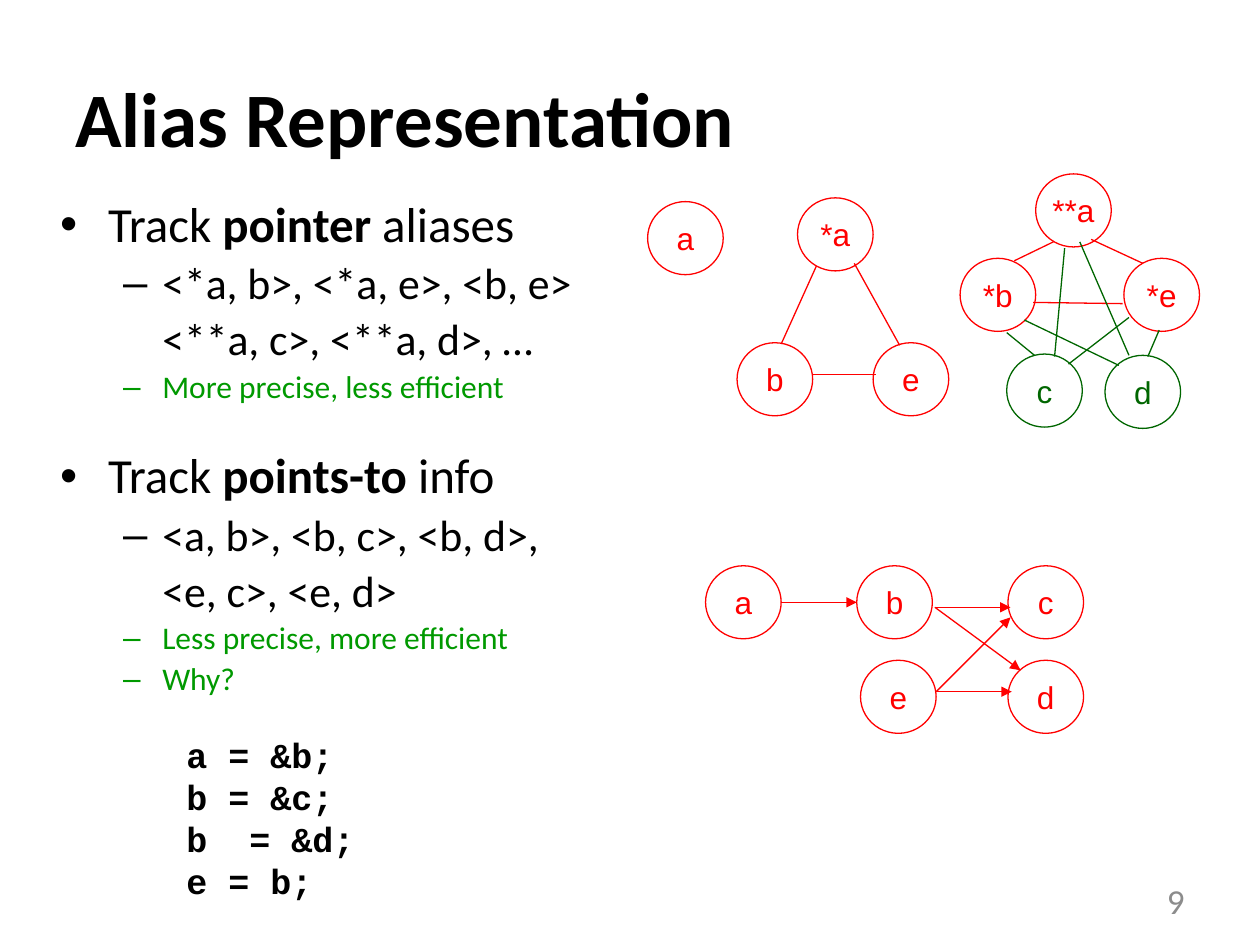
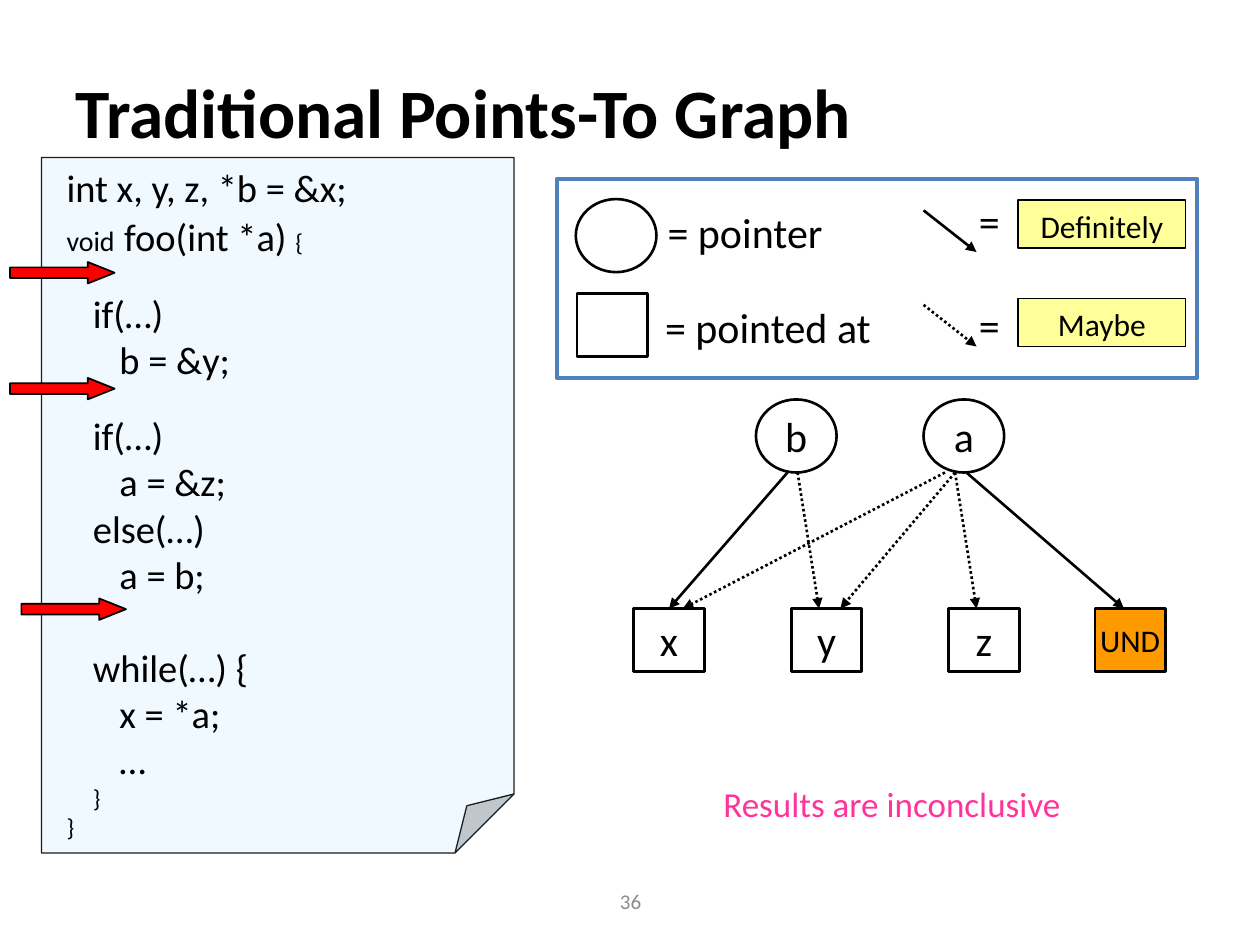
import dataclasses
import typing

import pptx
import pptx.dml.color
import pptx.enum.dml
import pptx.enum.shapes
import pptx.enum.text
import pptx.oxml
import pptx.oxml.ns
import pptx.util

Forms = pptx.enum.shapes.MSO_SHAPE
Aligns = pptx.enum.text.PP_ALIGN
Anchors = pptx.enum.text.MSO_ANCHOR


@dataclasses.dataclass(frozen=True)
class Theme:
    black: str = "000000"
    gray: str = "8C8C8C"
    red: str = "FF0000"
    green: str = "006600"
    lime: str = "009900"
    pink: str = "FF3399"
    blue: str = "4F81BD"
    ink: str = "1C1C1C"
    paper: str = "EFF9FF"
    yellow: str = "FFFF99"
    orange: str = "FF9900"
    sans: str = "Calibri"
    plain: str = "Arial"
    mono: str = "Courier New"
    title: float = 44
    head: float = 39.6
    point: float = 28
    item: float = 25
    big: float = 24
    code: float = 22
    mid: float = 20
    note: float = 18
    word: float = 16
    brace: float = 14
    foot: float = 12


THEME = Theme()


class Run(typing.NamedTuple):
    text: str
    size: float
    color: str = THEME.black
    bold: bool = False
    font: str = THEME.sans


class Para(typing.NamedTuple):
    runs: list[Run]
    align: Aligns = Aligns.LEFT
    left: float = 0
    hang: float = 0
    bullet: str = ""
    before: float = 0
    pitch: float = 1.0


class Box(typing.NamedTuple):
    left: float
    top: float
    width: float
    height: float


class Look(typing.NamedTuple):
    line: str
    weight: float
    fill: str = ""


class Node(typing.NamedTuple):
    name: str
    left: float
    top: float
    color: str = THEME.red


class Edge(typing.NamedTuple):
    x1: float
    y1: float
    x2: float
    y2: float
    color: str = THEME.black
    dotted: bool = False


def inch(value: float) -> pptx.util.Cm:
    return pptx.util.Cm(value * 2.54)


def rgb(color: str) -> pptx.dml.color.RGBColor:
    return pptx.dml.color.RGBColor.from_string(color)


def apply(target: typing.Any, values: dict[str, typing.Any]) -> None:
    for name, value in values.items():
        setattr(target, name, value)


def add_xml(parent: typing.Any, tag: str, **values: str) -> None:
    child = pptx.oxml.parse_xml(f"<a:{tag} {pptx.oxml.ns.nsdecls('a')}/>")
    for name, value in values.items():
        child.set(name, value)
    parent.append(child)


def write(shape: typing.Any, paras: list[Para], anchor: Anchors, wrap: bool) -> None:
    frame = shape.text_frame
    apply(frame, {"word_wrap": wrap, "vertical_anchor": anchor})
    for index, para in enumerate(paras):
        line = frame.add_paragraph() if index else frame.paragraphs[0]
        apply(line, {"alignment": para.align, "line_spacing": para.pitch,
                     "space_before": pptx.util.Pt(para.before)})
        props = line._p.get_or_add_pPr()
        props.set("marL", str(inch(para.left)))
        props.set("indent", str(inch(-para.hang)))
        if para.bullet:
            add_xml(props, "buFont", typeface=THEME.plain)
            add_xml(props, "buChar", char=para.bullet)
        for run in para.runs:
            part = line.add_run()
            part.text = run.text
            apply(part.font, {"name": run.font, "size": pptx.util.Pt(run.size), "bold": run.bold})
            part.font.color.rgb = rgb(run.color)


def add_text(slide: typing.Any, box: Box, paras: list[Para],
             anchor: Anchors = Anchors.TOP, wrap: bool = True) -> None:
    write(slide.shapes.add_textbox(*map(inch, box)), paras, anchor, wrap)


def add_form(slide: typing.Any, form: Forms, box: Box, look: Look, label: Run | None = None,
             anchor: Anchors = Anchors.MIDDLE) -> typing.Any:
    shape = slide.shapes.add_shape(form, *map(inch, box))
    shape.shadow.inherit = False
    if look.fill:
        shape.fill.solid()
        shape.fill.fore_color.rgb = rgb(look.fill)
    else:
        shape.fill.background()
    shape.line.color.rgb = rgb(look.line)
    shape.line.width = pptx.util.Pt(look.weight)
    if label:
        write(shape, [Para([label], Aligns.CENTER)], anchor, False)
    return shape


def adjust(shape: typing.Any, **values: float) -> None:
    guides = shape.element.spPr.find(".//" + pptx.oxml.ns.qn("a:avLst"))
    for old in list(guides):
        guides.remove(old)
    for name, value in values.items():
        add_xml(guides, "gd", name=name, fmla=f"val {round(value * 100000)}")


def add_edge(slide: typing.Any, edge: Edge, weight: float, arrow: bool = True) -> typing.Any:
    ends = map(inch, edge[:4])
    wire = slide.shapes.add_connector(pptx.enum.shapes.MSO_CONNECTOR.STRAIGHT, *ends)
    wire.line.color.rgb = rgb(edge.color)
    wire.line.width = pptx.util.Pt(weight)
    if edge.dotted:
        wire.line.dash_style = pptx.enum.dml.MSO_LINE.ROUND_DOT
    props = wire.element.spPr
    if arrow:
        add_xml(props.find(pptx.oxml.ns.qn("a:ln")), "tailEnd", type="triangle")
    add_xml(props, "effectLst")
    return wire


def add_title(slide: typing.Any, text: str, box: Box, size: float) -> None:
    add_text(slide, box, [Para([Run(text, size, bold=True)])], Anchors.MIDDLE)


def add_foot(slide: typing.Any, text: str, box: Box, size: float, align: Aligns) -> None:
    add_text(slide, box, [Para([Run(text, size, THEME.gray)], align)], Anchors.MIDDLE)


def topic(term: str, rest: str, before: float) -> Para:
    size = THEME.point
    runs = [Run("Track ", size), Run(term, size, bold=True), Run(rest, size)]
    return Para(runs, left=0.38, hang=0.38, bullet="•", before=before, pitch=0.9)


def item(text: str, bullet: str = "–") -> Para:
    return Para([Run(text, THEME.item)], left=0.81, hang=0.31 if bullet else 0,
                bullet=bullet, before=5, pitch=0.9)


def remark(text: str) -> Para:
    return Para([Run(text, THEME.note, THEME.lime)], left=0.81, hang=0.31,
                bullet="–", before=3.6, pitch=0.9)


def code(text: str, level: int = 0, before: float = 0, size: float = THEME.code) -> Para:
    return Para([Run(text, size)], left=0.21 * level, before=before)


def draw_alias(slide: typing.Any) -> None:
    add_title(slide, "Alias Representation", Box(0.5, 0.3, 9, 1.25), THEME.title)
    add_foot(slide, "9", Box(7.17, 6.95, 2.33, 0.4), THEME.mid, Aligns.RIGHT)
    add_text(slide, Box(0.38, 1.54, 9, 4.25), [
        topic("pointer", " aliases", 5.6),
        item("<*a, b>, <*a, e>, <b, e>"),
        item("<**a, c>, <**a, d>, …", ""),
        remark("More precise, less efficient"),
        topic("points-to", " info", 26.4),
        item("<a, b>, <b, c>, <b, d>,"),
        item("<e, c>, <e, d>", ""),
        remark("Less precise, more efficient"),
        remark("Why?"),
    ])
    lines = ["a = &b;", "b = &c;", "b  = &d;", "e = b;"]
    add_text(slide, Box(1.38, 5.77, 1.79, 1.43),
             [Para([Run(text, THEME.mid, bold=True, font=THEME.mono)]) for text in lines])

    nodes = [
        Node("a", 5.6, 4.49), Node("b", 6.8, 4.49), Node("c", 8, 4.49),
        Node("d", 8, 5.24), Node("e", 6.83, 5.24),
        Node("a", 5.14, 1.6), Node("b", 5.85, 2.72), Node("*a", 6.33, 1.57), Node("e", 6.93, 2.72),
        Node("d", 8.77, 2.82, THEME.green), Node("c", 7.99, 2.81, THEME.green),
        Node("*b", 7.62, 2.05), Node("**a", 8.22, 1.38), Node("*e", 8.92, 2.05),
    ]
    for node in nodes:
        add_form(slide, Forms.OVAL, Box(node.left, node.top, 0.6, 0.58), Look(node.color, 0.75),
                 Run(node.name, THEME.note, node.color, font=THEME.plain))

    arrows = [
        (6.2, 4.78, 6.8, 4.78), (7.42, 4.82, 8.1, 5.32), (7.43, 5.49, 8.03, 5.49),
        (7.43, 5.49, 8.02, 4.9), (7.42, 4.82, 8.02, 4.82),
    ]
    pairs = {
        THEME.red: [
            (6.45, 2.97, 6.95, 2.97), (6.2, 2.73, 6.48, 2.11), (6.78, 2.09, 7.14, 2.74),
            (8.2, 2.4, 8.91, 2.41), (8.05, 2.07, 8.36, 1.92), (8.66, 1.9, 9.07, 2.09),
        ],
        THEME.green: [
            (7.99, 2.64, 8.21, 2.82), (9.2, 2.62, 9.11, 2.83), (8.45, 1.97, 8.37, 2.83),
            (8.96, 2.52, 8.48, 2.89), (8.88, 2.9, 8.13, 2.54), (8.96, 2.82, 8.57, 1.92),
        ],
    }
    for ends in arrows:
        add_edge(slide, Edge(*ends, THEME.red), 0.75)
    for color, group in pairs.items():
        for ends in group:
            add_edge(slide, Edge(*ends, color), 0.75, arrow=False)


def draw_code(slide: typing.Any) -> None:
    page = add_form(slide, Forms.FOLDED_CORNER, Box(0.33, 1.25, 3.75, 5.52),
                    Look(THEME.ink, 0.75, THEME.paper))
    adjust(page, adj=0.125)
    call = [Run("void", THEME.word), Run(" ", THEME.big),
            Run("foo(int *a) ", THEME.code), Run("{", THEME.brace)]
    add_text(slide, Box(0.43, 1.25, 3.66, 5.49), [
        code("int x, y, z, *b = &x;"),
        Para(call),
        code("if(…)", 1, 17),
        code("b = &y;", 2),
        code("if(…)", 1, 17),
        code("a = &z;", 2),
        code("else(…)", 1),
        code("a = b;", 2),
        code("while(…) {", 1, 26.9),
        code("x = *a;", 2),
        code("…", 2),
        code("}", 1, size=THEME.brace),
        code("}", size=THEME.brace),
    ])
    for left, top in [(0.08, 2.08), (0.08, 3), (0.17, 4.75)]:
        mark = add_form(slide, Forms.RIGHT_ARROW, Box(left, top, 0.83, 0.17),
                        Look(THEME.black, 1, THEME.red))
        adjust(mark, adj1=0.5, adj2=1.25)


def draw_key(slide: typing.Any) -> None:
    look = Look(THEME.black, 1.5)
    add_form(slide, Forms.OVAL, Box(4.57, 1.58, 0.64, 0.58), look)
    add_form(slide, Forms.RECTANGLE, Box(4.58, 2.33, 0.56, 0.5), look)
    add_form(slide, Forms.RECTANGLE, Box(4.42, 1.42, 5.08, 1.58), Look(THEME.blue, 2.5))
    labels = [("= pointer", 5.2, 1.59, 1.51), ("= pointed at", 5.18, 2.34, 1.95),
              ("=", 7.67, 1.5, 0.4), ("=", 7.67, 2.33, 0.4)]
    for text, left, top, width in labels:
        add_text(slide, Box(left, top, width, 0.5), [Para([Run(text, THEME.big)])], wrap=False)
    for text, top, start, dotted in [("Definitely", 1.59, 1.67, False), ("Maybe", 2.37, 2.42, True)]:
        add_edge(slide, Edge(7.33, start, 7.75, start + 0.33, dotted=dotted), 1.5)
        add_form(slide, Forms.RECTANGLE, Box(8.08, top, 1.33, 0.38),
                 Look(THEME.black, 1, THEME.yellow), Run(text, THEME.note), Anchors.TOP)


def draw_graph(slide: typing.Any) -> None:
    look = Look(THEME.black, 1.5)
    for name, left in [("b", 6), ("a", 7.33)]:
        add_form(slide, Forms.OVAL, Box(left, 3.17, 0.64, 0.58), look, Run(name, THEME.big))
    cells = {}
    for name, left in [("x", 5.03), ("y", 6.28), ("z", 7.53), ("UND", 8.69)]:
        last = name == "UND"
        cells[name] = add_form(slide, Forms.RECTANGLE, Box(left, 4.83, 0.56, 0.5),
                               look._replace(fill=THEME.orange if last else ""),
                               Run(name, THEME.note if last else THEME.big))
    wire = add_edge(slide, Edge(6.25, 3.75, 5.33, 4.83), 1.5)
    wire.end_connect(cells["x"], 0)
    add_edge(slide, Edge(7.67, 3.75, 8.92, 4.83), 1.5)
    for start, end in [(7.58, 6.67), (7.5, 5.42), (6.33, 6.5), (7.58, 7.75)]:
        add_edge(slide, Edge(start, 3.75, end, 4.83, dotted=True), 1.5)


def draw_points(slide: typing.Any) -> None:
    add_foot(slide, "36", Box(3.42, 6.95, 3.17, 0.4), THEME.foot, Aligns.CENTER)
    add_title(slide, "Traditional Points-To Graph", Box(0.5, 0.5, 9, 0.76), THEME.head)
    draw_code(slide)
    draw_graph(slide)
    draw_key(slide)
    result = Run("Results are inconclusive", THEME.mid, THEME.pink)
    add_text(slide, Box(4.58, 6.13, 5, 0.5), [Para([result], Aligns.CENTER)], Anchors.MIDDLE)


def main() -> None:
    deck = pptx.Presentation()
    apply(deck, {"slide_width": inch(10), "slide_height": inch(7.5)})
    for draw in (draw_alias, draw_points):
        draw(deck.slides.add_slide(deck.slide_layouts[6]))
    deck.save("out.pptx")


if __name__ == "__main__":
    main()
